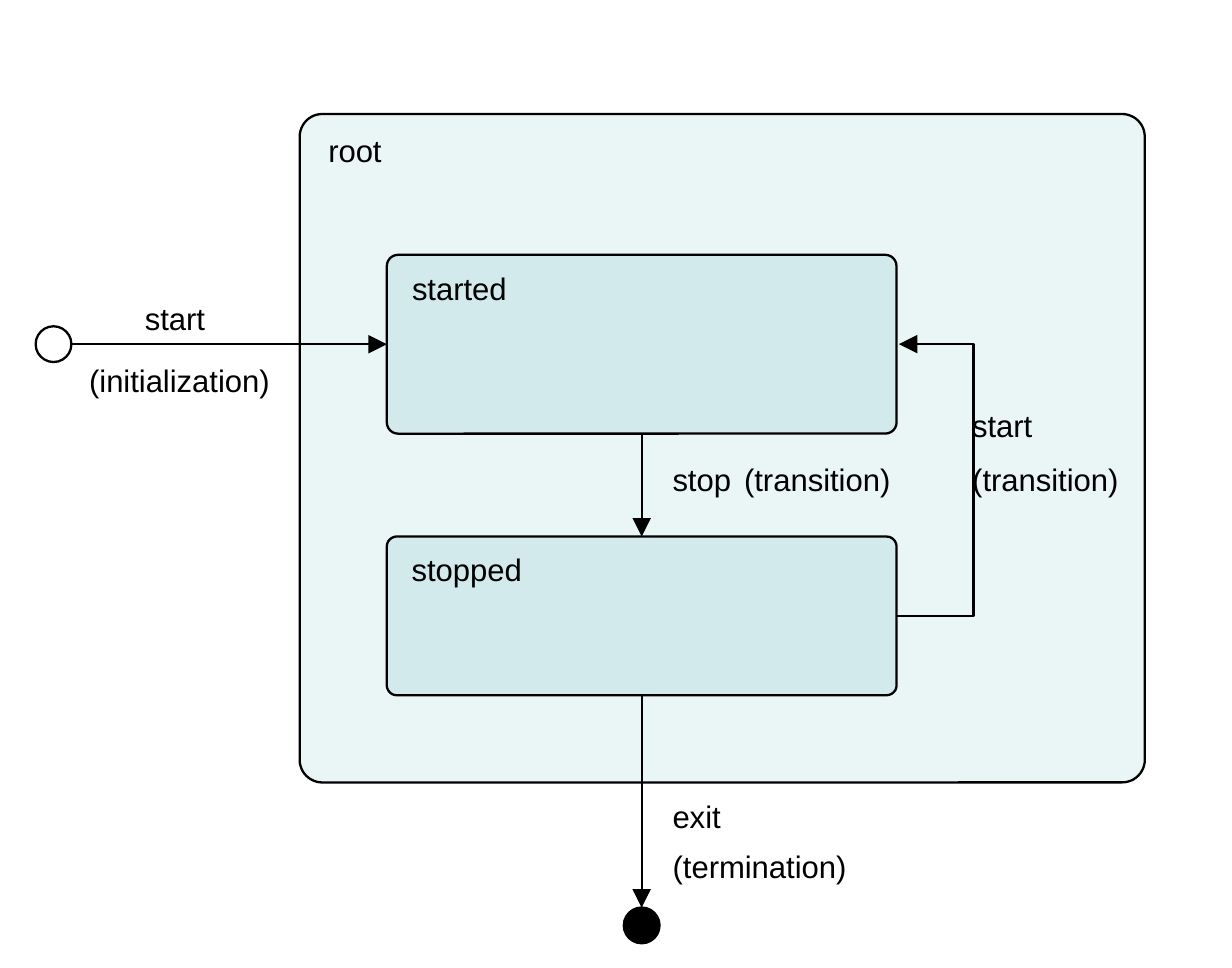
from pptx import Presentation
from pptx.dml.color import RGBColor
from pptx.enum.shapes import MSO_CONNECTOR, MSO_SHAPE
from pptx.enum.text import MSO_ANCHOR, MSO_AUTO_SIZE, PP_ALIGN
from pptx.oxml.ns import qn
from pptx.util import Inches, Pt
from lxml.etree import SubElement

THEME = {
    "font": "Arial", "size": 10, "line_width": 0.75,
    "ink": "000000", "paper": "FFFFFF", "state": "BBE0E3",
}

# name: left, top, width, height, corner, opacity in percent
STATES = {
    "root": (1.34, 0.51, 3.78, 2.99, 0.034, 30),
    "started": (1.73, 1.14, 2.28, 0.8, 0.063, 50),
    "stopped": (1.73, 2.4, 2.28, 0.71, 0.063, 50),
}
LABELS = [  # text, left, top, width
    ("stop", 2.91, 2.01, 0.5),
    ("(transition)", 3.23, 2.01, 0.9),
    ("start", 4.25, 1.77, 0.5),
    ("(transition)", 4.25, 2.01, 0.9),
    ("exit", 2.91, 3.52, 0.5),
    ("(termination)", 2.91, 3.74, 1.05),
    ("start", 0.55, 1.29, 0.5),
    ("(initialization)", 0.3, 1.57, 1.05),
]
LABEL_HEIGHT = 0.27
DOT = 0.16
INITIAL_LEFT, FINAL_TOP = 0.16, 4.06
LOOP_X = 4.36  # where the restart arrow turns


def color(name):
    return RGBColor.from_string(THEME[name])


def add_text(sp, text, *, anchor=MSO_ANCHOR.TOP, align=PP_ALIGN.LEFT):
    tf = sp.text_frame
    tf.word_wrap, tf.auto_size = True, MSO_AUTO_SIZE.NONE
    tf.vertical_anchor = anchor
    p = tf.paragraphs[0]
    p.alignment = align
    r = p.add_run()
    r.text = text
    r.font.name, r.font.size = THEME["font"], Pt(THEME["size"])
    r.font.color.rgb = color("ink")


def set_outline(sp):
    sp.line.color.rgb = color("ink")
    sp.line.width = Pt(THEME["line_width"])


def add_filled(s, kind, box, fill):
    sp = s.shapes.add_shape(kind, *map(Inches, box))
    sp.shadow.inherit = False
    sp.fill.solid()
    sp.fill.fore_color.rgb = color(fill)
    set_outline(sp)
    return sp


def add_state(s, name, left, top, width, height, corner, opacity):
    sp = add_filled(s, MSO_SHAPE.ROUNDED_RECTANGLE,
                    (left, top, width, height), "state")
    sp.adjustments[0] = corner
    rgb = sp.fill._xPr.find(".//" + qn("a:srgbClr"))
    SubElement(rgb, qn("a:alpha"), val=str(opacity * 1000))
    add_text(sp, name)


def add_arrow(s, start, end, kind=MSO_CONNECTOR.STRAIGHT):
    cn = s.shapes.add_connector(kind, *map(Inches, (*start, *end)))
    set_outline(cn)
    SubElement(cn.line._get_or_add_ln(), qn("a:tailEnd"), type="triangle")
    SubElement(cn._element.spPr, qn("a:effectLst"))
    return cn


def add_loop(s, start, end, turn_x):
    """Elbow arrow that leaves and returns on the right, turning at turn_x."""
    cn = add_arrow(s, start, end, MSO_CONNECTOR.ELBOW)
    ratio = (turn_x - start[0]) / (end[0] - start[0])
    guides = cn._element.spPr.find(qn("a:prstGeom")).get_or_add_avLst()
    SubElement(guides, qn("a:gd"), name="adj1",
               fmla=f"val {round(ratio * 100000)}")


def main():
    prs = Presentation()
    prs.slide_width, prs.slide_height = Inches(5.51), Inches(4.33)
    s = prs.slides.add_slide(prs.slide_layouts[6])

    for name, geometry in STATES.items():
        add_state(s, name, *geometry)

    left, started_top, width, started_height = STATES["started"][:4]
    stopped_top, stopped_height = STATES["stopped"][1], STATES["stopped"][3]
    right, mid_x = left + width, left + width / 2
    started_y = started_top + started_height / 2
    stopped_y = stopped_top + stopped_height / 2

    add_arrow(s, (mid_x, started_top + started_height), (mid_x, stopped_top))
    add_loop(s, (right, stopped_y), (right + 0.01, started_y), LOOP_X)
    add_arrow(s, (INITIAL_LEFT + DOT, started_y), (left, started_y))
    add_arrow(s, (mid_x, stopped_top + stopped_height), (mid_x, FINAL_TOP))
    add_filled(s, MSO_SHAPE.OVAL,
               (mid_x - DOT / 2, FINAL_TOP, DOT, DOT), "ink")
    add_filled(s, MSO_SHAPE.OVAL,
               (INITIAL_LEFT, started_y - DOT / 2, DOT, DOT), "paper")

    for text, x, y, w in LABELS:
        sp = s.shapes.add_textbox(*map(Inches, (x, y, w, LABEL_HEIGHT)))
        add_text(sp, text)

    prs.save("out.pptx")


if __name__ == "__main__":
    main()
